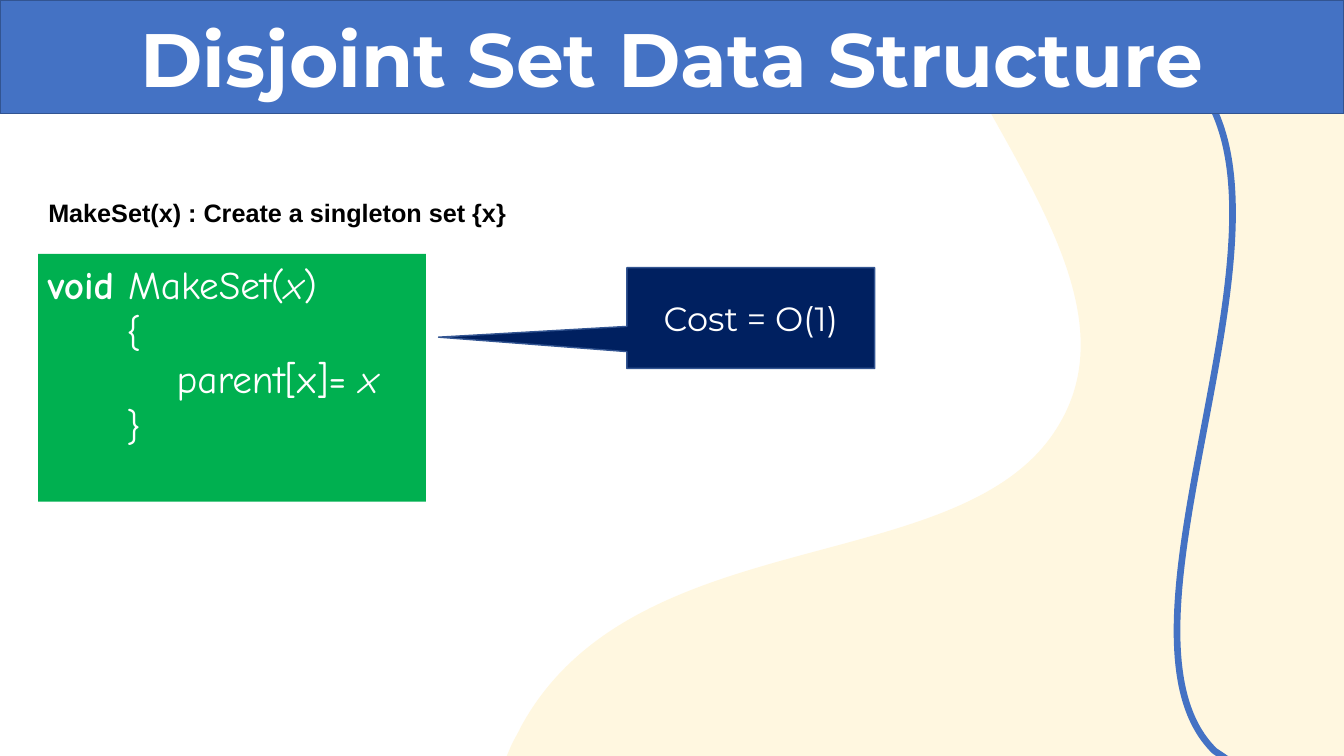
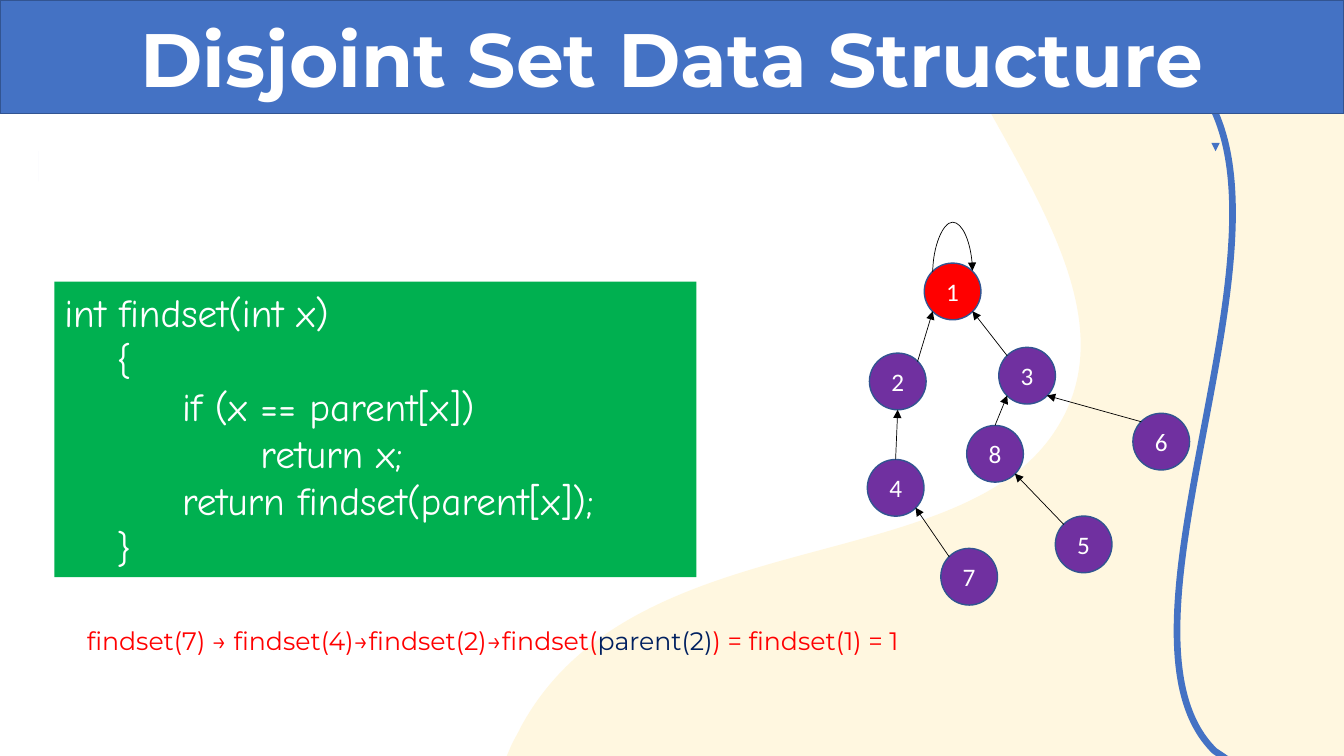
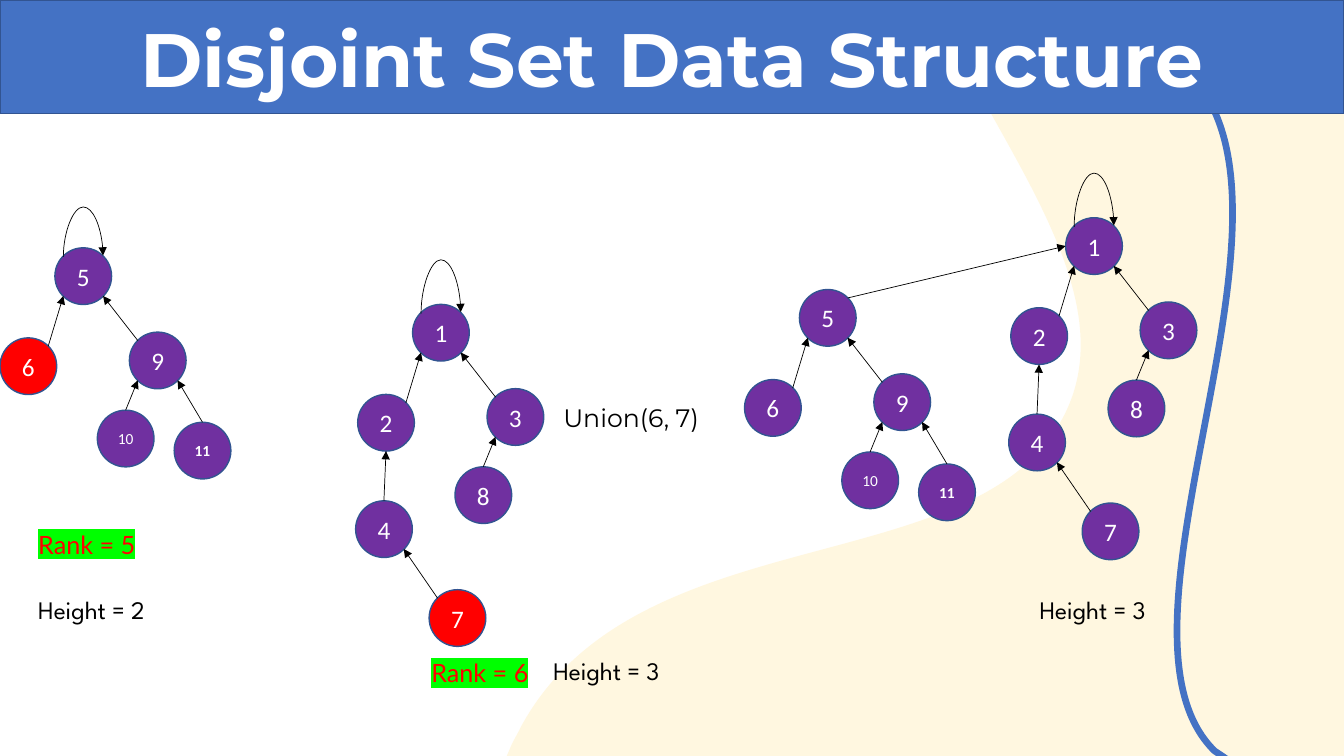
from dataclasses import dataclass, replace
from typing import NamedTuple, Optional

from lxml.etree import SubElement
from pptx import Presentation
from pptx.dml.color import RGBColor
from pptx.enum.shapes import MSO_CONNECTOR as Wire, MSO_SHAPE as Kind
from pptx.enum.text import MSO_ANCHOR as Anchor, MSO_AUTO_SIZE as Auto, PP_ALIGN as Align
from pptx.oxml.ns import qn
from pptx.util import Pt

WHITE = RGBColor(0xFF, 0xFF, 0xFF)
BLACK = RGBColor(0x00, 0x00, 0x00)
BLUE = RGBColor(0x44, 0x72, 0xC4)
EDGE = RGBColor(0x32, 0x54, 0x91)
NAVY = RGBColor(0x00, 0x20, 0x60)
GREEN = RGBColor(0x00, 0xB0, 0x50)
LIME = RGBColor(0x00, 0xFF, 0x00)
RED = RGBColor(0xFF, 0x00, 0x00)
PURPLE = RGBColor(0x70, 0x30, 0xA0)
GOLD = RGBColor(0xFF, 0xD9, 0x66)
MIST = RGBColor(0xEC, 0xEF, 0xFA)

WIDE, HIGH = 960, 540
SIZE = 40.5  # node diameter
TAB = 72
TITLE = "Disjoint Set Data Structure"


class Site(NamedTuple):
    """A point on a node, as fractions of its diameter."""
    x: float
    y: float


TOP, LEFT, BASE = Site(0.5, 0), Site(0, 0.5), Site(0.5, 1)
TOP_L, TOP_R = Site(0.15, 0.15), Site(0.85, 0.15)
BASE_L, BASE_R = Site(0.15, 0.85), Site(0.85, 0.85)


class Box(NamedTuple):
    x: float
    y: float
    w: float
    h: float


class Face(NamedTuple):
    name: str
    size: float
    color: RGBColor
    bold: bool = False
    align: Align = Align.LEFT


@dataclass(frozen=True)
class Run:
    text: str
    bold: bool = False
    slant: bool = False
    color: Optional[RGBColor] = None
    mark: Optional[RGBColor] = None


@dataclass(frozen=True)
class Node:
    """A tree node, placed relative to the root, with its arrow to a parent."""
    text: str
    x: float = 0
    y: float = 0
    up: str = ""
    out: Site = TOP
    into: Site = BASE
    bold: bool = False


@dataclass(frozen=True)
class Label:
    box: Box
    run: Run
    face: Face


# A step of one point is a line, a step of three is a cubic curve.
WAVE = [[(667.5, 0)], [(WIDE, 0)], [(WIDE, HIGH)], [(362, HIGH)], [(365, 533)],
        [(368, 526.5), (371, 522), (372.2, 519)],
        [(454.3, 368.6), (692.6, 416.2), (757.4, 301.7)],
        [(808.6, 213.1), (711.4, 105.1), (671, 8.6)]]
CURL = [[(876.2, 542.2)], [(874, 540.7)], [(867.6, 536.4)],
        [(780.5, 451.4), (941, 158.4), (853.2, 56.9)],
        [(776.2, -33.8), (590.4, 129.6), (491.8, 8.6)],
        [(489.6, 6.5), (486.7, 2.9), (483.1, -2.2)]]

HEAD = Face("Montserrat", 54, WHITE, True, Align.CENTER)
CODE = Face("Comic Neue", 28, WHITE)
COST = Face("Montserrat", 24, WHITE, align=Align.CENTER)
LEAD = Face("Arial", 18, BLACK, True)
CALL = Face("Montserrat", 18, RED)
UNION = Face("Montserrat", 18, BLACK)
RANK = Face("Lato", 18, RED)
TALL = Face("League Spartan", 18, BLACK)
DIGIT = Face("Calibri", 18, WHITE, align=Align.CENTER)

LOW = Node("2", -39.2, 64.3, "1", TOP_R, BASE_L)
SIDE = Node("3", 53.2, 60.2, "1", TOP_L, BASE_R)
INNER = Node("8", 30.3, 116, "3", TOP, BASE_L)
ONES = [Node("1"), LOW, SIDE, INNER,
        Node("4", -40.7, 140.3, "2"),
        Node("7", 11.8, 203.8, "4", TOP_L, BASE_R)]
FIVES = [Node("5"),
         replace(LOW, text="6", up="5"),
         replace(SIDE, text="9", up="5"),
         replace(INNER, text="10", up="9"),
         Node("11", 85.2, 124.6, "9", TOP, BASE_R, bold=True)]
MORE = [Node("5", 93.6, 180.7, "8", TOP_L, BASE_R),
        Node("6", 149, 107.3, "3", TOP_L, BASE_R)]

MAKE = [[Run("void ", bold=True), Run("MakeSet("), Run("x", slant=True), Run(")")],
        [Run("      {")],
        [Run("\t  ", bold=True), Run("parent[x]= "), Run("x", slant=True)],
        [Run("      }")]]
FIND = [[Run(line)] for line in (
    "int findset(int x)",
    "    {",
    "         if (x == parent[x])",
    "               return x;",
    "         return findset(parent[x]);",
    "    }")]
TRACE = [Run("findset(7) → findset(4)→findset(2)→findset("),
         Run("parent(2)", color=NAVY), Run(") = findset(1) = 1")]

LABELS = [
    Label(Box(395.3, 284, 219, 29), Run("Union(6, 7)"), UNION),
    Label(Box(20.2, 374.2, 137.5, 29), Run("Rank = 5", mark=LIME), RANK),
    Label(Box(301, 466.2, 137.5, 29), Run("Rank = 6", mark=LIME), RANK),
    Label(Box(20.2, 421.2, 157, 29), Run("Height = 2"), TALL),
    Label(Box(388.2, 464.4, 157, 29), Run("Height = 3"), TALL),
    Label(Box(735.5, 421.2, 157, 29), Run("Height = 3"), TALL),
]


def write(frame, lines, face: Face, anchor=Anchor.MIDDLE) -> None:
    frame.word_wrap = True
    frame.auto_size = Auto.NONE
    frame.vertical_anchor = anchor
    for i, runs in enumerate(lines):
        para = frame.add_paragraph() if i else frame.paragraphs[0]
        para.alignment = face.align
        if any("\t" in part.text for part in runs):
            stops = SubElement(para._p.get_or_add_pPr(), qn("a:tabLst"))
            SubElement(stops, qn("a:tab"), pos=str(Pt(TAB)), algn="l")
        font = para.font
        font.name, font.size, font.bold = face.name, Pt(face.size), face.bold
        font.color.rgb = face.color
        for part in runs:
            run = para.add_run()
            run.text = part.text
            if part.bold:
                run.font.bold = True
            if part.slant:
                run.font.italic = True
            if part.color is not None:
                run.font.color.rgb = part.color
            if part.mark is not None:
                mark = SubElement(run._r.get_or_add_rPr(), qn("a:highlight"))
                SubElement(mark, qn("a:srgbClr"), val=str(part.mark))


def paint(shape, fill: RGBColor, edge: Optional[RGBColor] = EDGE) -> None:
    shape.fill.solid()
    shape.fill.fore_color.rgb = fill
    if edge is None:
        shape.line.fill.background()
    else:
        shape.line.color.rgb = edge
        shape.line.width = Pt(1)


def block(slide, kind: Kind, box: Box, fill: RGBColor, edge=EDGE):
    shape = slide.shapes.add_shape(kind, *map(Pt, box))
    shape.shadow.inherit = False
    paint(shape, fill, edge)
    return shape


def note(slide, box: Box, runs, face: Face) -> None:
    frame = slide.shapes.add_textbox(*map(Pt, box)).text_frame
    write(frame, [runs], face, Anchor.TOP)


def arrow(slide, kind: Wire, start, end, color=BLACK):
    """Draw a thin connector with a head at its end; points are in EMU."""
    line = slide.shapes.add_connector(kind, *start, *end)
    line.line.color.rgb = color
    line.line.width = Pt(0.5)
    SubElement(line.line._get_or_add_ln(), qn("a:tailEnd"), type="triangle")
    SubElement(line.element.spPr, qn("a:effectLst"))
    return line


def spot(node, site: Site) -> tuple[int, int]:
    return (int(node.left + site.x * node.width),
            int(node.top + site.y * node.height))


def link(slide, child, parent, out: Site, into: Site) -> None:
    line = arrow(slide, Wire.STRAIGHT, spot(child, out), spot(parent, into))
    if out == TOP:
        line.begin_connect(child, 0)


def loop(slide, root, rise: float) -> None:
    """Arc from the root back to itself: a flat curve turned by 90 degrees."""
    left, y = spot(root, TOP_L)
    right, _ = spot(root, TOP_R)
    mid, half, thin = (left + right) // 2, (right - left) // 2, Pt(0.5)
    line = arrow(slide, Wire.CURVE, (mid + thin, y + half), (mid - thin, y - half))
    props = line.element.spPr
    props.find(qn("a:xfrm")).set("rot", "5400000")
    geom = props.find(qn("a:prstGeom"))
    guides = geom.find(qn("a:avLst"))
    if guides is None:
        guides = SubElement(geom, qn("a:avLst"))
    SubElement(guides, qn("a:gd"), name="adj1", fmla=f"val {round(rise * 100000)}")


def tree(slide, x: float, y: float, nodes, hot: str = "", rise: float = 0) -> dict:
    """Draw nodes and arrows with the root at x, y; rise is the loop height."""
    made = {}
    for node in nodes:
        box = Box(x + node.x, y + node.y, SIZE, SIZE)
        disc = block(slide, Kind.OVAL, box, RED if node.text == hot else PURPLE)
        frame = disc.text_frame
        frame.margin_left = frame.margin_right = 0
        size = 11 if len(node.text) > 1 else 18
        write(frame, [[Run(node.text)]], DIGIT._replace(size=size, bold=node.bold))
        made[node.text] = disc
    for node in nodes:
        if node.up:
            link(slide, made[node.text], made[node.up], node.out, node.into)
    if rise:
        loop(slide, made[nodes[0].text], rise)
    return made


def outline(slide, steps, close: bool):
    """Build a freeform through the step ends, then bend its curved steps."""
    first, *rest = [(Pt(x), Pt(y)) for x, y in (step[-1] for step in steps)]
    pen = slide.shapes.build_freeform(*first)
    pen.add_line_segments(rest, close=close)
    shape = pen.convert_to_shape()
    shape.shadow.inherit = False
    legs = list(shape.element.spPr.iter(qn("a:lnTo")))
    for leg, step in zip(legs, steps[1:]):
        if len(step) == 3:
            bend = SubElement(leg.getparent(), qn("a:cubicBezTo"))
            for x, y in step:
                SubElement(bend, qn("a:pt"), x=str(Pt(x) - shape.left),
                           y=str(Pt(y) - shape.top))
            leg.getparent().replace(leg, bend)
    return shape


def backdrop(slide, layout) -> None:
    """Draw the wave and the curl, then hand them to the layout."""
    for holder in list(layout.placeholders)[1:]:
        holder.element.getparent().remove(holder.element)
    wave = outline(slide, WAVE, True)
    paint(wave, GOLD, None)
    tint = wave.element.spPr.find(qn("a:solidFill"))[0]
    SubElement(tint, qn("a:alpha"), val="20000")
    curl = outline(slide, CURL, False)
    curl.fill.background()
    curl.line.color.rgb = BLUE
    curl.line.width = Pt(4.75)
    for shape in (wave, curl):
        layout.shapes.element.append(shape.element)


def start(deck, layout):
    slide = deck.slides.add_slide(layout)
    band = slide.shapes.title
    band.left, band.top, band.width, band.height = map(Pt, (0, 0.5, WIDE, 80.5))
    paint(band, BLUE)
    write(band.text_frame, [[Run(TITLE)]], HEAD)
    return slide


def code(slide, box: Box, lines) -> None:
    shape = block(slide, Kind.RECTANGLE, box, GREEN, None)
    shape.text_frame.margin_top = Pt(4.6)
    write(shape.text_frame, lines, CODE, Anchor.TOP)


def make_set(slide) -> None:
    note(slide, Box(27.4, 137.2, 890.6, 29), [Run("MakeSet(x) : Create a singleton set {x}")], LEAD)
    code(slide, Box(27.2, 181.4, 277, 177), MAKE)
    cost = block(slide, Kind.RECTANGULAR_CALLOUT, Box(447.8, 191.2, 177, 72), NAVY)
    cost.adjustments[0], cost.adjustments[1] = -1.26, 0.19
    write(cost.text_frame, [[Run("Cost = O(1)")]], COST)


def find_set(slide) -> None:
    code(slide, Box(38.9, 201.2, 458.5, 211), FIND)
    block(slide, Kind.RECTANGLE, Box(27.4, 108, 0, 21.6), MIST, None)
    tree(slide, 660.2, 187.9, ONES + MORE, hot="1", rise=36)
    arrow(slide, Wire.STRAIGHT, (Pt(868.3), Pt(102.2)), (Pt(868.3), Pt(108)), BLUE)
    note(slide, Box(54.9, 442.8, 880, 29), TRACE, CALL)


def union(slide) -> None:
    tree(slide, 294.7, 217.4, ONES, hot="7", rise=38.7)
    tree(slide, 39.2, 177, FIVES, hot="6", rise=36)
    ones = tree(slide, 761.2, 155.5, ONES, rise=38.7)
    fives = tree(slide, 571, 206.8, FIVES)
    link(slide, fives["5"], ones["1"], TOP_R, LEFT)
    for label in LABELS:
        note(slide, label.box, [label.run], label.face)


def main() -> None:
    deck = Presentation()
    deck.slide_width, deck.slide_height = Pt(WIDE), Pt(HIGH)
    layout = deck.slide_layouts[5]
    for i, fill in enumerate((make_set, find_set, union)):
        slide = start(deck, layout)
        if i == 0:
            backdrop(slide, layout)
        fill(slide)
    deck.save("out.pptx")


if __name__ == "__main__":
    main()
